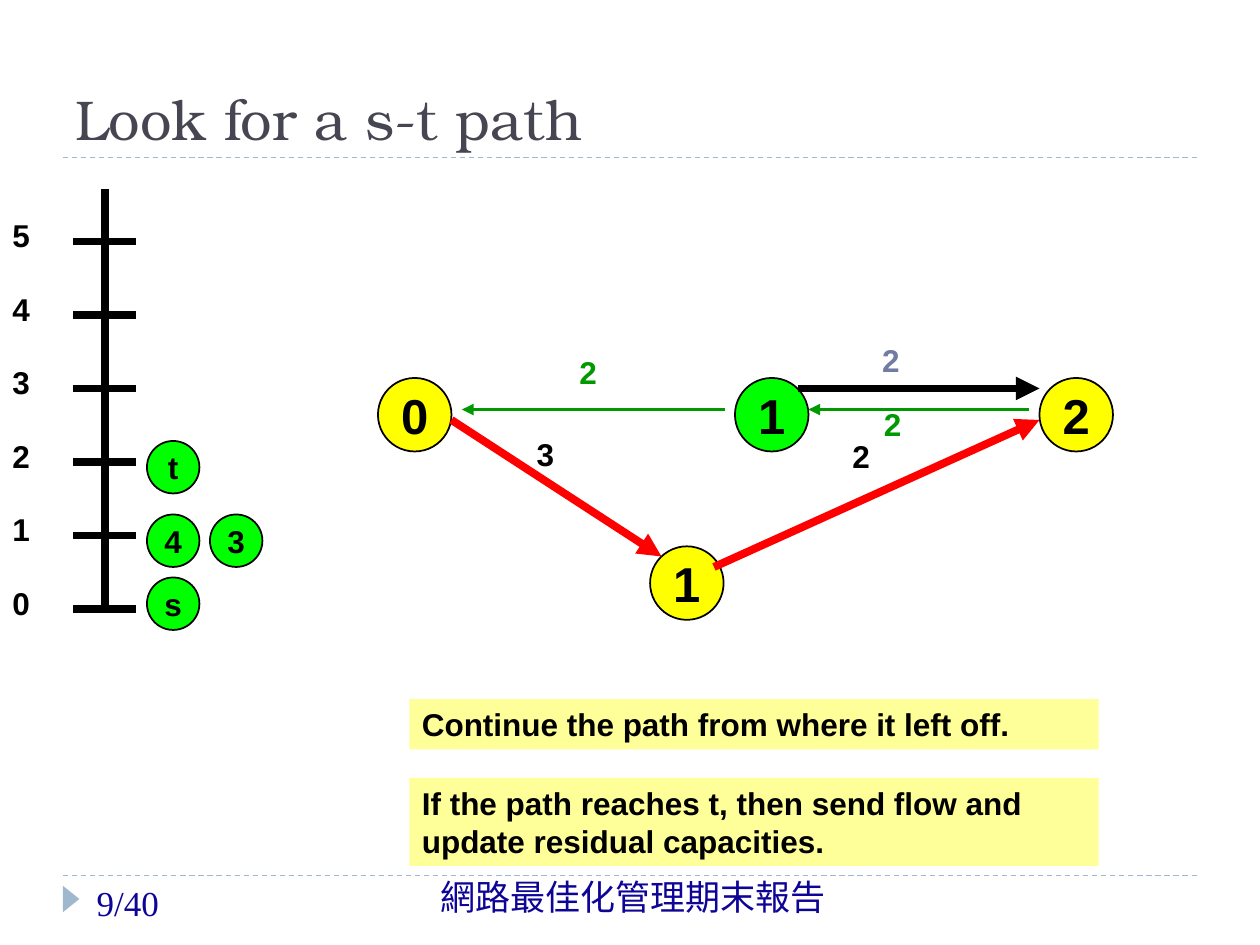
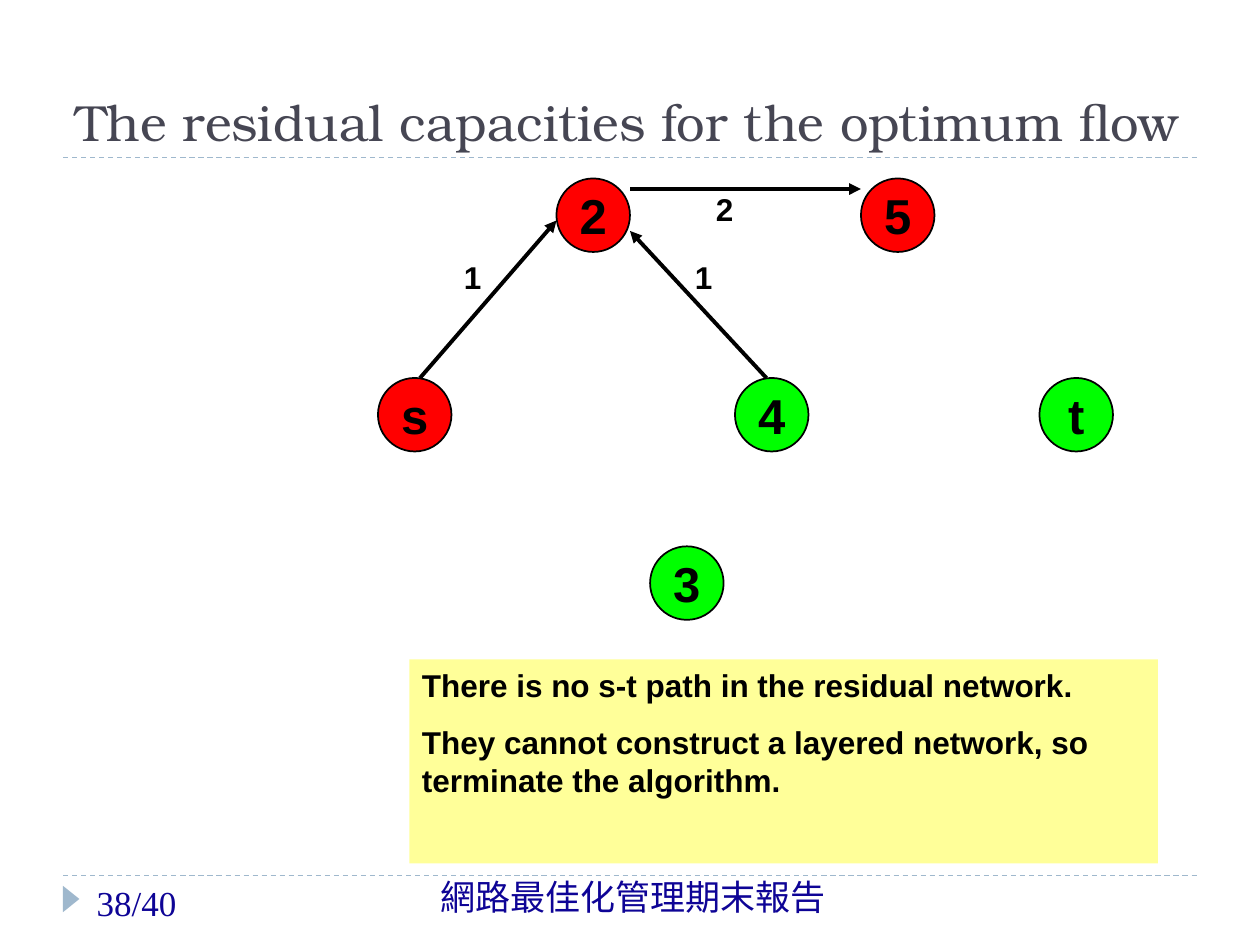
from lxml.etree import SubElement
from pptx import Presentation
from pptx.dml.color import RGBColor
from pptx.enum.dml import MSO_LINE
from pptx.enum.shapes import MSO_CONNECTOR, MSO_SHAPE
from pptx.enum.text import MSO_ANCHOR, PP_ALIGN
from pptx.oxml.ns import qn
from pptx.util import Pt

COLORS = {
    "black": "000000", "white": "FFFFFF", "red": "FF0000", "lime": "00FF00",
    "green": "009900", "yellow": "FFFF00", "note": "FFFF99", "slate": "727CA3",
    "rule": "9FB8CD", "title": "464653", "footer": "0E0496",
}
MARGINS = {"margin_left": 7.2, "margin_right": 7.2,
           "margin_top": 3.6, "margin_bottom": 3.6}
NODE, DOT, STEP = 42, 30, 42


def shade(name):
    return RGBColor.from_string(COLORS[name])


class Deck:
    def __init__(self):
        self.prs = Presentation()
        self.prs.slide_width, self.prs.slide_height = Pt(720), Pt(540)
        self.slide = None

    def page(self, title, size, number):
        """Start a slide with its title, rules and footer."""
        self.slide = self.prs.slides.add_slide(self.prs.slide_layouts[6])
        for y in (500.4, 90):
            self.line(36, y, 684, y, "rule", 0.75, dash=True)
        mark = self.shape(MSO_SHAPE.ISOSCELES_TRIANGLE, 33.1, 509, 15.1, 9.4, "rule")
        mark.rotation = 90
        self.text(224, 496.8, 275.8, 28.8, ["網路最佳化管理期末報告"], 20, "footer",
                  "Calibri", False, align=PP_ALIGN.CENTER)
        self.text(48.2, 500.4, 156.2, 28.8, [number], 20, "footer",
                  "Times New Roman", False)
        self.text(36, 18, 648, 72, [title], size, "title", "TeX Gyre Bonum",
                  False, anchor=MSO_ANCHOR.BOTTOM)

    def shape(self, kind, x, y, w, h, fill, edge=None):
        item = self.slide.shapes.add_shape(kind, Pt(x), Pt(y), Pt(w), Pt(h))
        item.shadow.inherit = False
        item.fill.solid()
        item.fill.fore_color.rgb = shade(fill)
        if edge:
            item.line.color.rgb = shade(edge)
            item.line.width = Pt(1)
        else:
            item.line.fill.background()
        return item

    def put(self, item, lines, size=18, color="black", font="Arial", bold=True,
            align=PP_ALIGN.LEFT, anchor=MSO_ANCHOR.TOP, wrap=True):
        frame = item.text_frame
        frame.word_wrap, frame.vertical_anchor = wrap, anchor
        for key, value in MARGINS.items():
            setattr(frame, key, Pt(value))
        style = {"name": font, "size": Pt(size), "bold": bold}
        for i, line in enumerate(lines):
            para = frame.add_paragraph() if i else frame.paragraphs[0]
            para.alignment = align
            if i:
                para.space_before = Pt(11.2)
            run = para.add_run()
            run.text = line
            for key, value in style.items():
                setattr(run.font, key, value)
            run.font.color.rgb = shade(color)

    def text(self, x, y, w, h, lines, *style, **extra):
        box = self.slide.shapes.add_textbox(Pt(x), Pt(y), Pt(w), Pt(h))
        self.put(box, lines, *style, **extra)
        return box

    def label(self, x, y, text, color="black", fill=None):
        box = self.text(x, y, 42.5, 28.8, [text], 18, color)
        if fill:
            box.fill.solid()
            box.fill.fore_color.rgb = shade(fill)

    def node(self, x, y, text, fill, width=NODE, size=28):
        item = self.shape(MSO_SHAPE.OVAL, x, y, width, width, fill, "black")
        self.put(item, [text], size, align=PP_ALIGN.CENTER,
                 anchor=MSO_ANCHOR.MIDDLE, wrap=False)

    def note(self, y, w, h, *lines):
        self.put(self.shape(MSO_SHAPE.RECTANGLE, 234, y, w, h, "note"), lines)

    def line(self, x1, y1, x2, y2, color="black", width=2.25, arrow=False, dash=False):
        item = self.slide.shapes.add_connector(
            MSO_CONNECTOR.STRAIGHT, Pt(x1), Pt(y1), Pt(x2), Pt(y2))
        item.line.color.rgb = shade(color)
        item.line.width = Pt(width)
        if dash:
            item.line.dash_style = MSO_LINE.DASH
        props = item._element.spPr
        if arrow:
            SubElement(props.find(qn("a:ln")), qn("a:tailEnd"), type="triangle")
        SubElement(props, qn("a:effectLst"))

    def arrow(self, x1, y1, x2, y2, color="black", width=2.25):
        self.line(x1, y1, x2, y2, color, width, arrow=True)


def search(deck):
    deck.page("Look for a s-t path", 32, "9/40")

    # Distance scale with the nodes on each level
    deck.line(60, 108, 60, 348, width=4.5)
    for level in range(6):
        y = 348 - STEP * level
        deck.line(42, y, 78, y, width=4.5)
        deck.label(0, y - 18, str(level))
    for x, y, name in ((84, 330, "s"), (120, 294, "3"), (84, 294, "4"), (84, 252, "t")):
        deck.node(x, y, name, "lime", DOT, 18)

    # Network nodes
    for x, y, name, fill in ((420, 216, "1", "lime"), (216, 216, "0", "yellow"),
                             (594, 216, "2", "yellow"), (371.5, 312.2, "1", "yellow")):
        deck.node(x, y, name, fill)

    # Capacities and arcs
    deck.label(299.5, 245, "3")
    deck.label(497, 191.5, "2", "slate")
    deck.label(498, 228, "2", "green", "white")
    deck.label(480, 246, "2")
    deck.label(324, 198, "2", "green", "white")
    deck.arrow(456, 222, 594, 222, width=4.5)
    deck.arrow(414, 234, 264, 234, "green")
    deck.arrow(588, 234, 462, 234, "green")
    deck.arrow(258, 240, 378, 318, "red", 4.5)
    deck.arrow(408, 324, 594, 240, "red", 4.5)

    # Notes
    deck.note(399.5, 393.8, 28.8, "Continue the path from where it left off.")
    deck.note(444.5, 393.8, 50.4,
              "If the path reaches t, then send flow and update residual capacities.")


def finish(deck):
    deck.page("The residual capacities for the optimum flow", 29, "38/40")

    # Network nodes
    for x, y, name, fill in ((492, 102, "5", "red"), (594, 216, "t", "lime"),
                             (216, 216, "s", "red"), (318, 102, "2", "red"),
                             (420, 216, "4", "lime"), (371.5, 312.2, "3", "lime")):
        deck.node(x, y, name, fill)

    # Capacities and arcs
    for x, y, name in ((402, 105, "2"), (258, 144, "1"), (390, 144, "1")):
        deck.label(x, y, name)
    for ends in ((240, 216, 318, 126), (360, 108, 492, 108), (438, 216, 360, 132)):
        deck.arrow(*ends)

    # Note
    deck.note(376.8, 427.7, 116.6, "There is no s-t path in the residual network.",
              "They cannot construct a layered network, so terminate the algorithm.")


def main():
    deck = Deck()
    search(deck)
    finish(deck)
    deck.prs.save("out.pptx")


if __name__ == "__main__":
    main()
